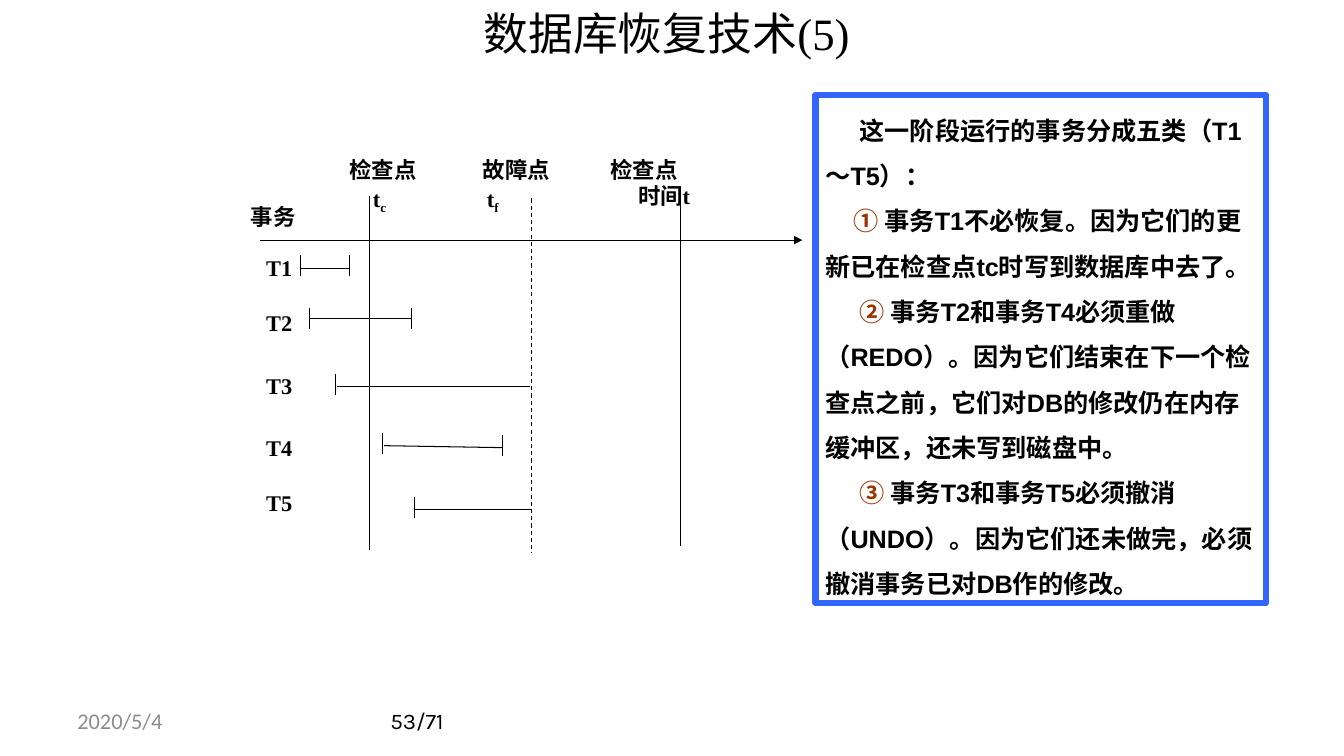
from lxml import etree
from pptx import Presentation
from pptx import util as u
from pptx.dml.color import RGBColor
from pptx.enum import dml, shapes, text
from pptx.oxml.ns import qn

BLACK = RGBColor(0x00, 0x00, 0x00)
GREY = RGBColor(0x8C, 0x8C, 0x8C)
BLUE = RGBColor(0x33, 0x66, 0xFF)
RUST = RGBColor(0x99, 0x33, 0x00)
SERIF = "Times New Roman"


class RecoverySlide:
    """Holds the slide and draws its kinds of element."""

    tick_height = 0.53
    marker_height = 8.92

    def __init__(self, slide):
        self.slide = slide

    def style(self, paragraph, size, font, color=BLACK, bold=False):
        paragraph.font.size = u.Pt(size)
        paragraph.font.name = font
        paragraph.font.color.rgb = color
        paragraph.font.bold = bold

    def caption(self, words, left, top, width, height, size, font,
                color=BLACK, align=text.PP_ALIGN.LEFT):
        frame = self.slide.shapes.add_textbox(
            u.Cm(left), u.Cm(top), u.Cm(width), u.Cm(height)).text_frame
        frame.word_wrap = True
        frame.vertical_anchor = text.MSO_ANCHOR.MIDDLE
        line = frame.paragraphs[0]
        line.text = words
        line.alignment = align
        self.style(line, size, font, color)

    def label(self, rows, left, top, width=2, height=0.7, subscript=""):
        """Diagram label; rows are (words, space before in points)."""
        frame = self.slide.shapes.add_textbox(
            u.Cm(left), u.Cm(top), u.Cm(width), u.Cm(height)).text_frame
        frame.word_wrap = True
        frame.margin_left = frame.margin_right = 0
        frame.margin_top = frame.margin_bottom = 0
        for i, (words, gap) in enumerate(rows):
            row = frame.add_paragraph() if i else frame.paragraphs[0]
            row.add_run().text = words
            row.space_before = u.Pt(gap)
            self.style(row, 16, SERIF, bold=True)
        if subscript:
            run = row.add_run()
            run.text = subscript
            run._r.get_or_add_rPr().set("baseline", "-25000")

    def line(self, x1, y1, x2, y2, dashed=False, arrow=False):
        stroke = self.slide.shapes.add_connector(
            shapes.MSO_CONNECTOR.STRAIGHT,
            u.Cm(x1), u.Cm(y1), u.Cm(x2), u.Cm(y2))
        stroke.line.color.rgb = BLACK
        stroke.line.width = u.Pt(0.75)
        if dashed:
            stroke.line.dash_style = dml.MSO_LINE.DASH
        properties = stroke._element.spPr
        if arrow:
            etree.SubElement(properties.find(qn("a:ln")), qn("a:tailEnd"),
                             type="triangle")
        etree.SubElement(properties, qn("a:effectLst"))

    def marker(self, x, top, dashed=False):
        self.line(x, top, x, top + self.marker_height, dashed)

    def transaction(self, start, end, ticks):
        """Span between two (x, y) points, with end ticks as (x, top)."""
        self.line(*start, *end)
        for x, top in ticks:
            self.line(x, top, x, top + self.tick_height)

    def panel(self, items, left, top, width, height):
        """Framed text; items are (number, words, first line indent)."""
        box = self.slide.shapes.add_shape(
            shapes.MSO_SHAPE.RECTANGLE,
            u.Cm(left), u.Cm(top), u.Cm(width), u.Cm(height))
        box.shadow.inherit = False
        box.fill.background()
        box.line.color.rgb = BLUE
        box.line.width = u.Pt(4.5)
        frame = box.text_frame
        frame.word_wrap = True
        frame.vertical_anchor = text.MSO_ANCHOR.TOP
        for i, (number, words, indent) in enumerate(items):
            item = frame.add_paragraph() if i else frame.paragraphs[0]
            item.alignment = text.PP_ALIGN.LEFT
            item.line_spacing = 1.5
            item._p.get_or_add_pPr().set("indent", str(u.Cm(indent)))
            self.style(item, 18, "Arial", bold=True)
            for part, color in ((number, RUST), (words, BLACK)):
                if part:
                    run = item.add_run()
                    run.text = part
                    run.font.color.rgb = color


def main():
    deck = Presentation()
    deck.slide_width, deck.slide_height = u.Cm(33.87), u.Cm(19.05)
    page = RecoverySlide(deck.slides.add_slide(deck.slide_layouts[6]))

    # Title and footer
    page.caption("数据库恢复技术(5)", 1.7, -0.2, 30.2, 2.03, 32, SERIF,
                 align=text.PP_ALIGN.CENTER)
    page.caption("2020/5/4", 1.7, 17.65, 7.9, 1.02, 16, "Calibri", GREY)
    page.caption("53/71", 0, 17.65, 11.43, 1.02, 16, "Karla",
                 align=text.PP_ALIGN.RIGHT)

    # Time axis labels
    for words, left in (("检查点", 8.81), ("故障点", 12.17), ("检查点", 15.39)):
        page.label([(words, 0)], left, 3.94)
    for subscript, left in (("c", 9.4), ("f", 12.27)):
        page.label([("t", 0)], left, 4.66, subscript=subscript)
    page.label([("时间t", 0)], 16.08, 4.6)

    # Transaction names
    page.label([("事务", 0)], 6.32, 5.13)
    page.label([("T1", 0), ("T2", 20), ("T3", 26), ("T4", 25), ("T5", 20)],
               6.71, 6.4, 0.84, 7.77)

    # Axis, checkpoints and failure point
    page.line(6.55, 6.05, 20.22, 6.05, arrow=True)
    page.marker(9.32, 4.95)
    page.marker(13.39, 5, dashed=True)
    page.marker(17.15, 4.85)

    # Transaction spans T1 to T5
    for start, end, ticks in (
        ((7.57, 6.76), (8.81, 6.76), [(7.57, 6.43), (8.81, 6.43)]),
        ((7.8, 8.03), (10.35, 8.03), [(7.8, 7.77), (10.37, 7.75)]),
        ((8.5, 9.75), (13.35, 9.75), [(8.46, 9.42)]),
        ((9.68, 11.23), (12.67, 11.28), [(9.65, 10.9), (12.67, 10.95)]),
        ((10.46, 12.83), (13.39, 12.83), [(10.44, 12.52)]),
    ):
        page.transaction(start, end, ticks)

    # Explanation
    page.panel([
        ("", "这一阶段运行的事务分成五类（T1～T5）：", 0.86),
        ("①", " 事务T1不必恢复。因为它们的更新已在检查点tc时写到数据库中去了。", 0.71),
        ("②", " 事务T2和事务T4必须重做（REDO）。因为它们结束在下一个检查点之前，"
              "它们对DB的修改仍在内存缓冲区，还未写到磁盘中。", 0.86),
        ("③", " 事务T3和事务T5必须撤消（UNDO）。因为它们还未做完，"
              "必须撤消事务已对DB作的修改。", 0.86),
    ], 20.55, 2.39, 11.35, 12.8)

    deck.save("out.pptx")


if __name__ == "__main__":
    main()
